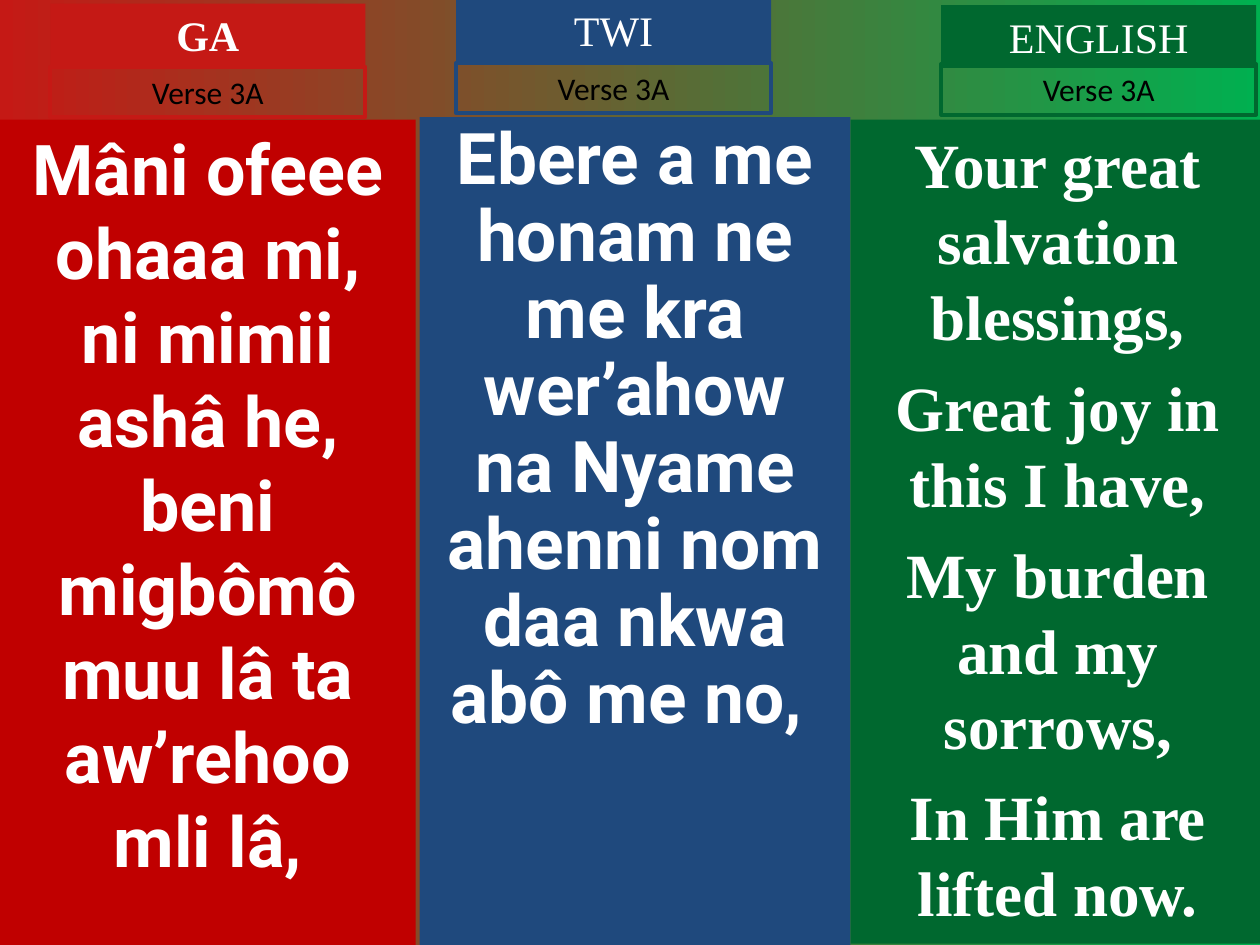
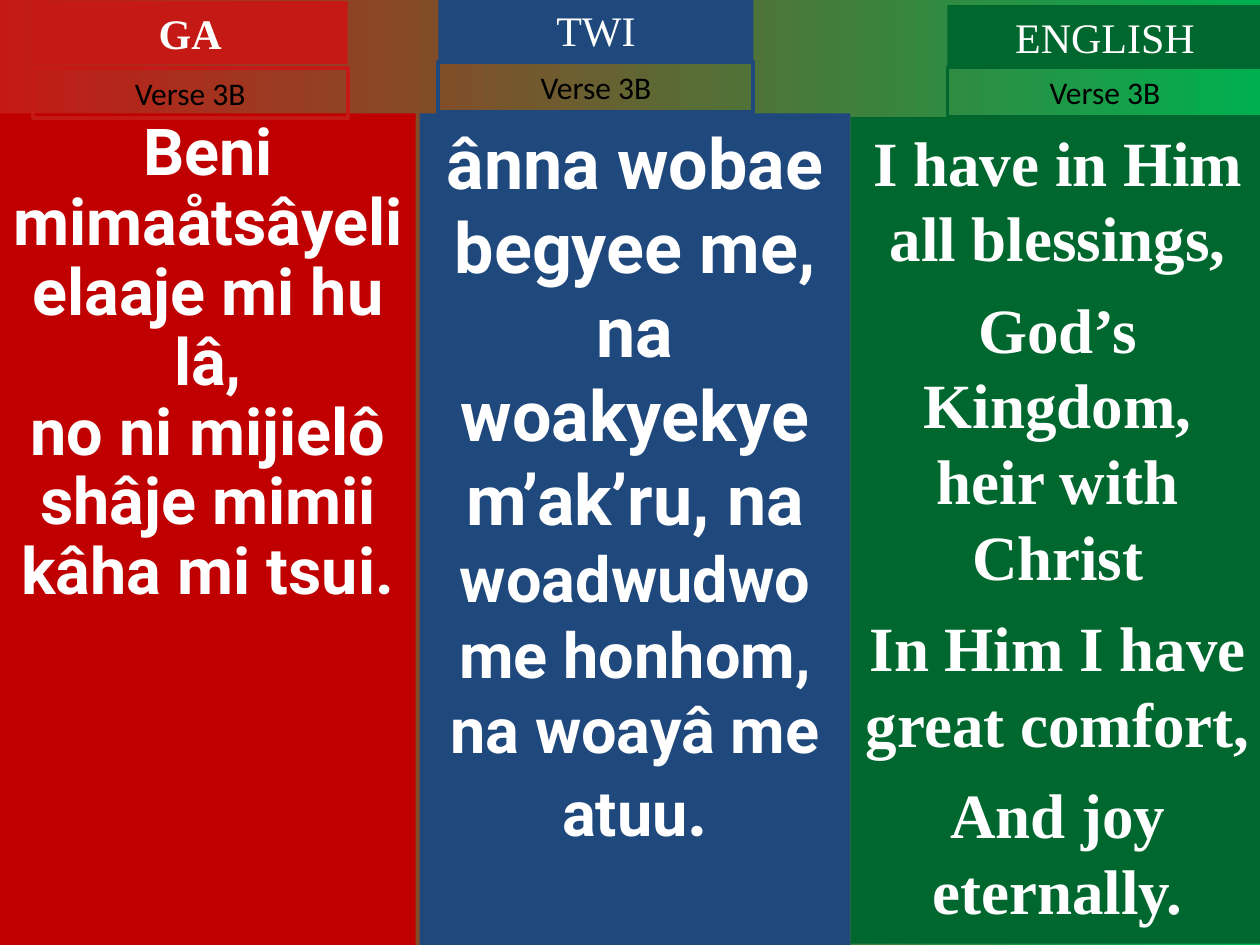
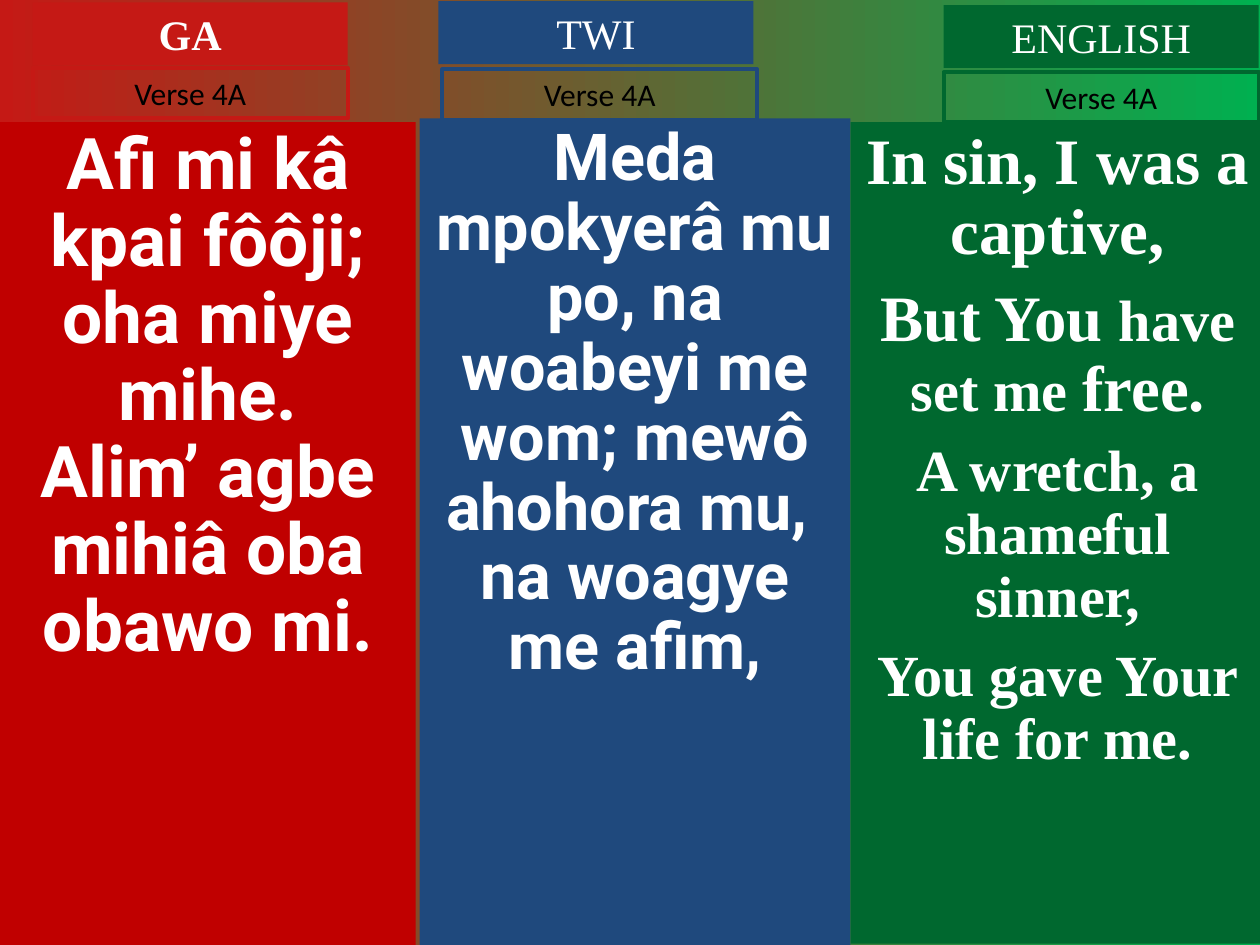
"""Hymn slides with each verse side by side in Ga, Twi and English."""
from pptx import Presentation
from pptx.dml.color import RGBColor
from pptx.enum.shapes import MSO_SHAPE
from pptx.enum.text import MSO_ANCHOR, MSO_AUTO_SIZE, PP_ALIGN
from pptx.util import Inches, Pt

RECTANGLE = MSO_SHAPE.RECTANGLE
TOP = MSO_ANCHOR.TOP
GROW = MSO_AUTO_SIZE.SHAPE_TO_FIT_TEXT
FIXED = MSO_AUTO_SIZE.NONE
CENTER = PP_ALIGN.CENTER

COLORS = {
    "red": "C51915",
    "deep_red": "C00000",
    "blue": "1F497D",
    "green": "00682F",
    "bright_green": "00B050",
    "white": "FFFFFF",
    "black": "000000",
}
SERIF, SANS, LABEL_FONT = "Times New Roman", "Roboto", "Calibri"
TAB_WIDTH, HEADING_HEIGHT, LABEL_HEIGHT = 2.5, 0.5, 0.4

# language, panel left, panel width, panel bottom, panel color, tab color, lyric font, bold heading
LANGUAGES = [
    ("GA", 0, 3.3, 7.5, "deep_red", "red", SANS, True),
    ("TWI", 3.33, 3.42, 7.5, "blue", "blue", SANS, False),
    ("ENGLISH", 6.75, 3.29, 7.49, "green", "green", SERIF, False),
]

# verse, then per language: panel top, heading corner, label corner, line spacing, lyrics
# each lyric line: space before, then runs of text and size
VERSES = [
    ("Verse 3A", [
        (0.95, (0.4, 0.03), (0.4, 0.53), 1.0, [
            (0, ("Mâni ofeee ohaaa mi,", 40)),
            (0, ("ni mimii ashâ he,", 40)),
            (0, ("beni migbômô muu lâ ta aw’rehoo mli lâ,", 40)),
        ]),
        (0.93, (3.62, -0.01), (3.62, 0.5), 0.9, [
            (0, ("Ebere a me honam ne me kra wer’ahow", 40.7)),
            (0, ("na Nyame ahenni nom", 40.7)),
            (0, ("daa nkwa abô me no, ", 40.7)),
        ]),
        (0.95, (7.47, 0.04), (7.47, 0.51), 1.0, [
            (0, ("Your great salvation blessings,", 36)),
            (9, ("Great joy in this I have,", 36)),
            (9, ("My burden and my sorrows,", 36)),
            (9, ("In Him are lifted now.", 36)),
        ]),
    ]),
    ("Verse 3B", [
        (0.9, (0.26, 0.01), (0.26, 0.54), 0.9, [
            (0, ("Beni mimaåtsâyeli", 37)),
            (0, ("elaaje mi hu lâ,", 37)),
            (0, ("no ni mijielô shâje mimii kâha mi tsui.", 37)),
        ]),
        (0.9, (3.48, -0.01), (3.48, 0.49), 1.0, [
            (0, ("ânna wobae begyee me,", 40)),
            (0, ("na woakyekye m’ak’ru, na ", 40), ("woadwudwo me honhom,", 36)),
            (0, ("na woayâ me atuu", 36), (".", 40)),
        ]),
        (0.93, (7.52, 0.04), (7.52, 0.53), 1.0, [
            (0, ("I have in Him all blessings,", 36)),
            (9, ("God’s Kingdom, heir with Christ", 36)),
            (9, ("In Him I have great comfort,", 36)),
            (9, ("And joy eternally.", 36)),
        ]),
    ]),
    ("Verse 4A", [
        (0.97, (0.26, 0.02), (0.26, 0.54), 0.9, [
            (0, ("Afi mi kâ kpai fôôji;", 40.7)),
            (0, ("oha miye mihe.", 40.7)),
            (0, ("Alim’ agbe mihiâ oba obawo mi.", 40.7)),
        ]),
        (0.94, (3.48, 0.01), (3.51, 0.55), 0.9, [
            (0, ("Meda mpokyerâ mu po, na woabeyi me wom; mewô ahohora mu, ", 37)),
            (0, ("na woagye me afim,", 37)),
        ]),
        (0.97, (7.49, 0.04), (7.49, 0.57), 0.9, [
            (0, ("In sin, I was a captive,", 37)),
            (10, ("But You ", 37), ("have set me ", 33.3), ("free.", 37)),
            (9, ("A wretch, a shameful sinner,", 33.3)),
            (9, ("You gave Your life for me.", 33.3)),
        ]),
    ]),
]


def add_box(slide, left, top, width, height, fill=None, outline=None, fit=GROW):
    box = slide.shapes.add_shape(
        RECTANGLE, Inches(left), Inches(top), Inches(width), Inches(height))
    box.shadow.inherit = False
    if fill:
        box.fill.solid()
        box.fill.fore_color.rgb = RGBColor.from_string(COLORS[fill])
    else:
        box.fill.background()
    if outline:
        box.line.color.rgb = RGBColor.from_string(COLORS[outline])
        box.line.width = Pt(2.25)
    else:
        box.line.fill.background()
    frame = box.text_frame
    frame.word_wrap = True
    frame.auto_size = fit
    frame.vertical_anchor = TOP
    return frame


def write(frame, lines, font, color, bold=False, spacing=1.0):
    for number, (space_before, *runs) in enumerate(lines):
        paragraph = frame.add_paragraph() if number else frame.paragraphs[0]
        paragraph.alignment = CENTER
        paragraph.line_spacing = spacing
        paragraph.space_before = Pt(space_before)
        for text, size in runs:
            run = paragraph.add_run()
            run.text = text
            run.font.name = font
            run.font.size = Pt(size)
            run.font.bold = bold
            run.font.color.rgb = RGBColor.from_string(COLORS[color])


prs = Presentation()
prs.slide_width, prs.slide_height = Inches(10), Inches(7.5)

for verse, columns in VERSES:
    slide = prs.slides.add_slide(prs.slide_layouts[6])
    backdrop = slide.background.fill
    backdrop.gradient()
    backdrop.gradient_angle = 0
    for stop, color in zip(backdrop.gradient_stops, ("red", "bright_green")):
        stop.color.rgb = RGBColor.from_string(COLORS[color])

    for language, column in zip(LANGUAGES, columns):
        name, left, width, bottom, panel_color, tab_color, font, bold_heading = language
        top, heading_corner, label_corner, spacing, lyrics = column

        panel = add_box(slide, left, top, width, bottom - top, fill=panel_color, fit=FIXED)
        write(panel, lyrics, font, "white", bold=True, spacing=spacing)

        heading = add_box(slide, *heading_corner, TAB_WIDTH, HEADING_HEIGHT, fill=tab_color)
        write(heading, [(0, (name, 24))], SERIF, "white", bold=bold_heading)

        label = add_box(slide, *label_corner, TAB_WIDTH, LABEL_HEIGHT, outline=tab_color)
        write(label, [(0, (verse, 18))], LABEL_FONT, "black")

prs.save("out.pptx")
